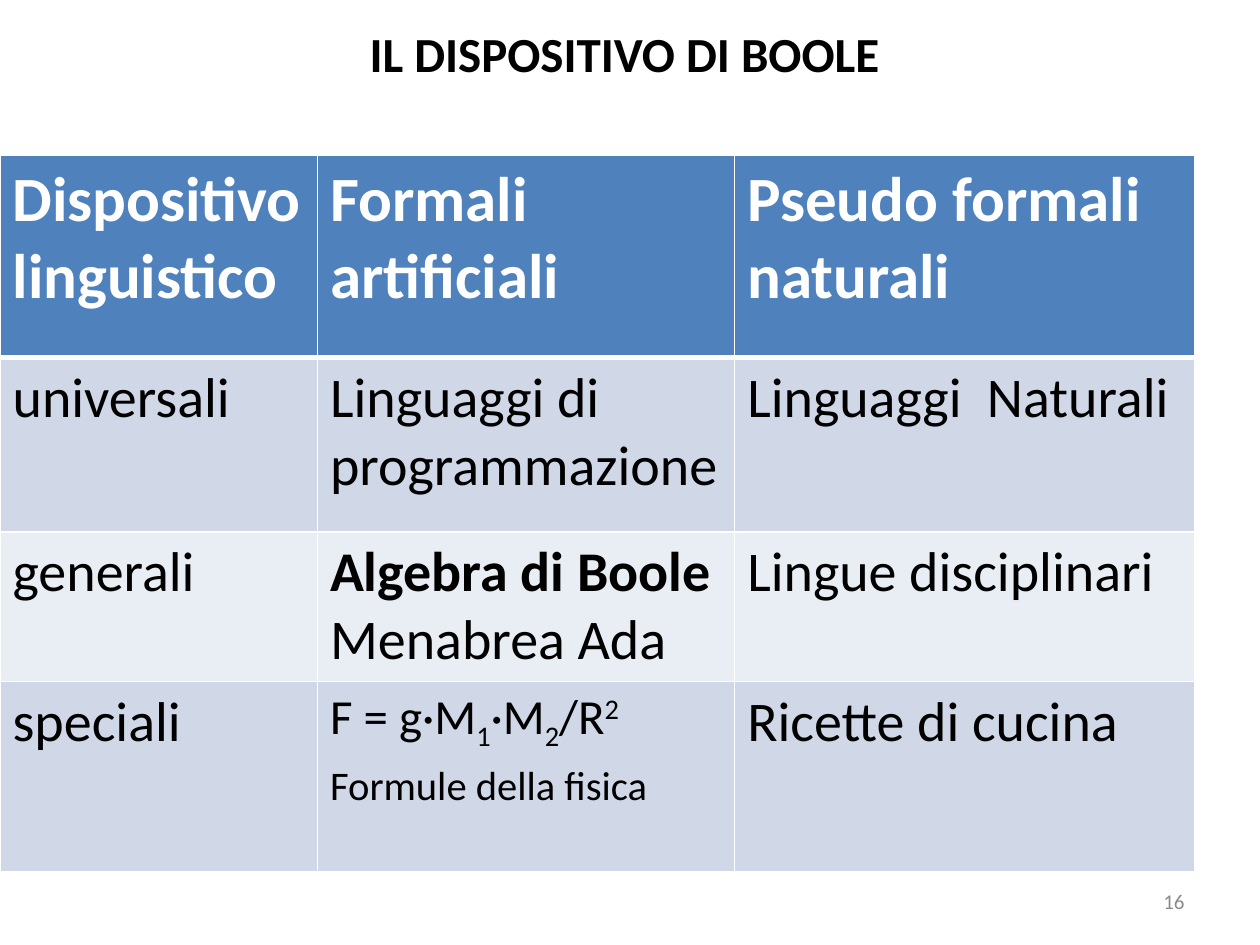
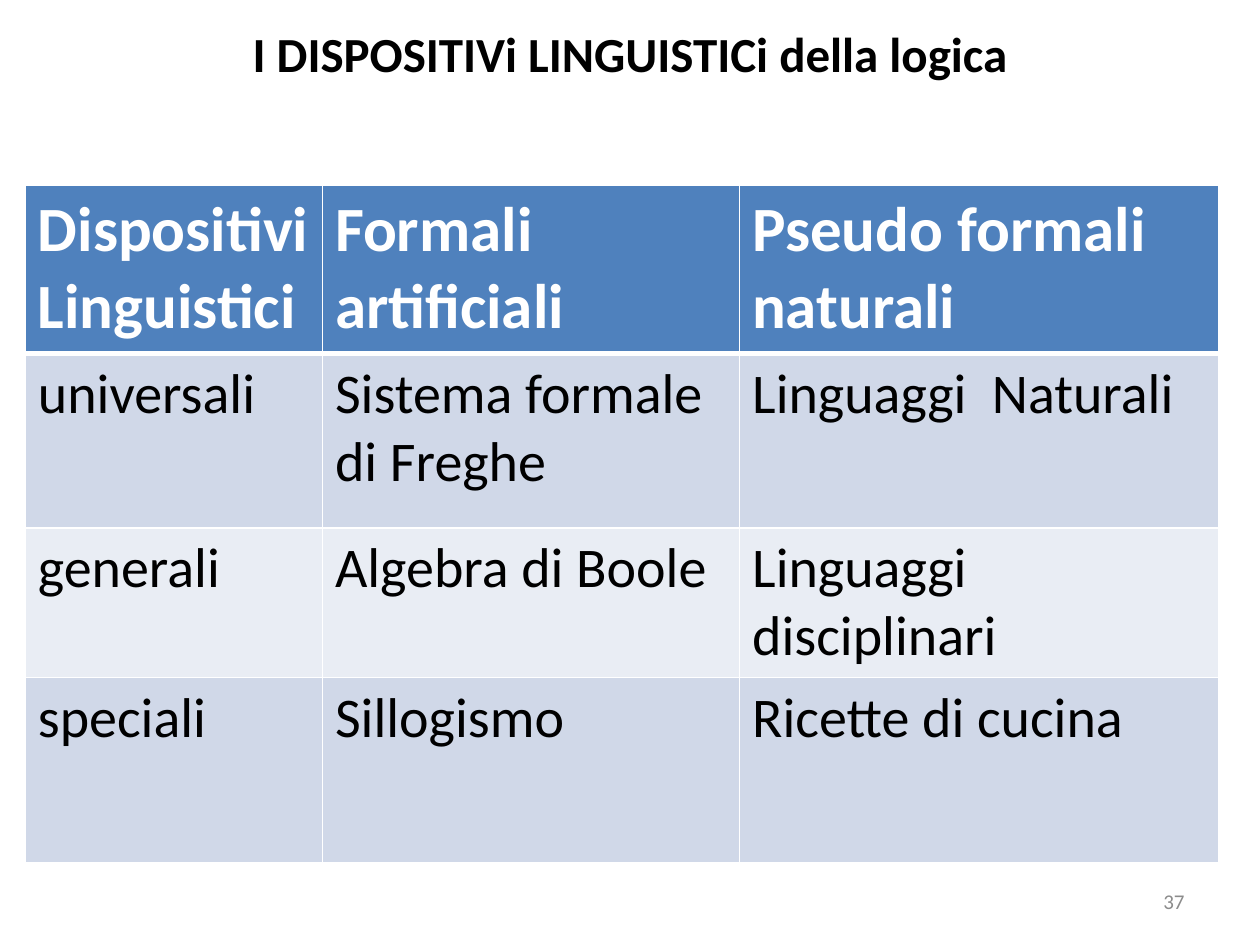
from lxml import etree
from pptx import Presentation
from pptx.dml.color import RGBColor
from pptx.enum.text import MSO_ANCHOR, PP_ALIGN
from pptx.oxml.ns import qn
from pptx.util import Cm, Pt

CENTER, RIGHT, LEFT = PP_ALIGN.CENTER, PP_ALIGN.RIGHT, PP_ALIGN.LEFT
MIDDLE = MSO_ANCHOR.MIDDLE

BLACK = RGBColor(0x00, 0x00, 0x00)
WHITE = RGBColor(0xFF, 0xFF, 0xFF)
GREY = RGBColor(0x8C, 0x8C, 0x8C)
BLUE = RGBColor(0x4F, 0x81, 0xBD)
BANDS = (RGBColor(0xD0, 0xD8, 0xE8), RGBColor(0xE9, 0xED, 0xF4))

FONT = "Calibri"
TITLE = {"size": Pt(28), "bold": True, "color": BLACK}
HEADER = {"size": Pt(36), "bold": True, "color": WHITE}
BODY = {"size": Pt(32), "bold": False, "color": BLACK}
NUMBER = {"size": Pt(12), "bold": False, "color": GREY}

BOLD = {"bold": True}
FORMULA = {"size": Pt(28)}
SUB = {**FORMULA, "baseline": -25000}
SUP = {**FORMULA, "baseline": 30000}
RAISED = {"size": Pt(40), "baseline": 30000}

BOOLE_ROWS = [
    [["Dispositivo", "linguistico"], ["Formali", "artificiali"],
     ["Pseudo formali", "naturali"]],
    [["universali"], ["Linguaggi di", "programmazione"], ["Linguaggi  Naturali"]],
    [["generali"], [[("Algebra di Boole", BOLD)], "Menabrea Ada"],
     ["Lingue disciplinari"]],
    [["speciali"],
     [[("F = g·M", FORMULA), ("1", SUB), ("·M", FORMULA), ("2", SUB),
       ("/R", FORMULA), ("2", SUP)],
      [("Formule della fisica", RAISED)]],
     ["Ricette di cucina"]],
]
LOGIC_ROWS = [
    [["Dispositivi", "Linguistici"], ["Formali", "artificiali"],
     ["Pseudo formali", "naturali"]],
    [["universali"], ["Sistema formale di Freghe"], ["Linguaggi  Naturali"]],
    [["generali"], ["Algebra di Boole"], ["Linguaggi disciplinari"]],
    [["speciali"], ["Sillogismo"], ["Ricette di cucina"]],
]


def add_run(p, text, fmt):
    """Append a run whose font follows the format dict."""
    r = p.add_run()
    r.text = text
    r.font.name = FONT
    for name, value in fmt.items():
        if name == "color":
            r.font.color.rgb = value
        elif name == "baseline":
            r._r.get_or_add_rPr().set("baseline", str(value))
        else:
            setattr(r.font, name, value)


def fill_text(tf, paragraphs, fmt, align=LEFT):
    """Write paragraphs, each a string or a list of (text, format) runs."""
    for i, runs in enumerate(paragraphs):
        p = tf.add_paragraph() if i else tf.paragraphs[0]
        p.alignment = align
        if isinstance(runs, str):
            runs = [(runs, {})]
        for text, changes in runs:
            add_run(p, text, {**fmt, **changes})


def add_label(s, box, text, fmt, align):
    """Add a vertically centred text box."""
    tf = s.shapes.add_textbox(*map(Cm, box)).text_frame
    tf.word_wrap = True
    tf.vertical_anchor = MIDDLE
    fill_text(tf, [text], fmt, align)


def set_borders(cell, top, bottom):
    """Draw white cell borders with the given top and bottom widths."""
    tcPr = cell._tc.get_or_add_tcPr()
    for side, width in (("L", 1), ("R", 1), ("T", top), ("B", bottom)):
        ln = etree.SubElement(tcPr, qn(f"a:ln{side}"), w=str(Pt(width)))
        fill = etree.SubElement(ln, qn("a:solidFill"))
        etree.SubElement(fill, qn("a:srgbClr"), val=str(WHITE))


def add_grid(s, left, top, widths, heights, rows):
    """Add a table with a blue header and banded body rows."""
    table = s.shapes.add_table(len(rows), len(widths), Cm(left), Cm(top),
                               Cm(sum(widths)), Cm(sum(heights))).table
    for column, width in zip(table.columns, widths):
        column.width = Cm(width)
    for i, (row, height) in enumerate(zip(rows, heights)):
        table.rows[i].height = Cm(height)
        for j, paragraphs in enumerate(row):
            cell = table.cell(i, j)
            set_borders(cell, 3 if i == 1 else 1, 3 if i == 0 else 1)
            cell.fill.solid()
            cell.fill.fore_color.rgb = BANDS[(i - 1) % 2] if i else BLUE
            fill_text(cell.text_frame, paragraphs, BODY if i else HEADER)


def add_table_slide(prs, title, number, *grid):
    """Add a slide with a title, a table and a page number."""
    s = prs.slides.add_slide(prs.slide_layouts[6])
    add_label(s, (1.27, 0, 22.86, 2.13), title, TITLE, CENTER)
    add_grid(s, *grid)
    add_label(s, (18.21, 17.65, 5.92, 1.02), number, NUMBER, RIGHT)


def main():
    """Build and save the presentation."""
    prs = Presentation()
    prs.slide_width, prs.slide_height = Cm(25.4), Cm(19.05)
    add_table_slide(prs, "IL DISPOSITIVO DI BOOLE ", "16", 0, 3.12,
                    (6.4, 8.41, 9.27), (4.09, 3.51, 3.02, 3.84), BOOLE_ROWS)
    add_table_slide(prs, " I DISPOSITIVi LINGUISTICi della logica ", "37", 0.51, 3.73,
                    (5.99, 8.41, 9.65), (3.4, 3.51, 3.02, 3.73), LOGIC_ROWS)
    prs.save("out.pptx")


if __name__ == "__main__":
    main()
